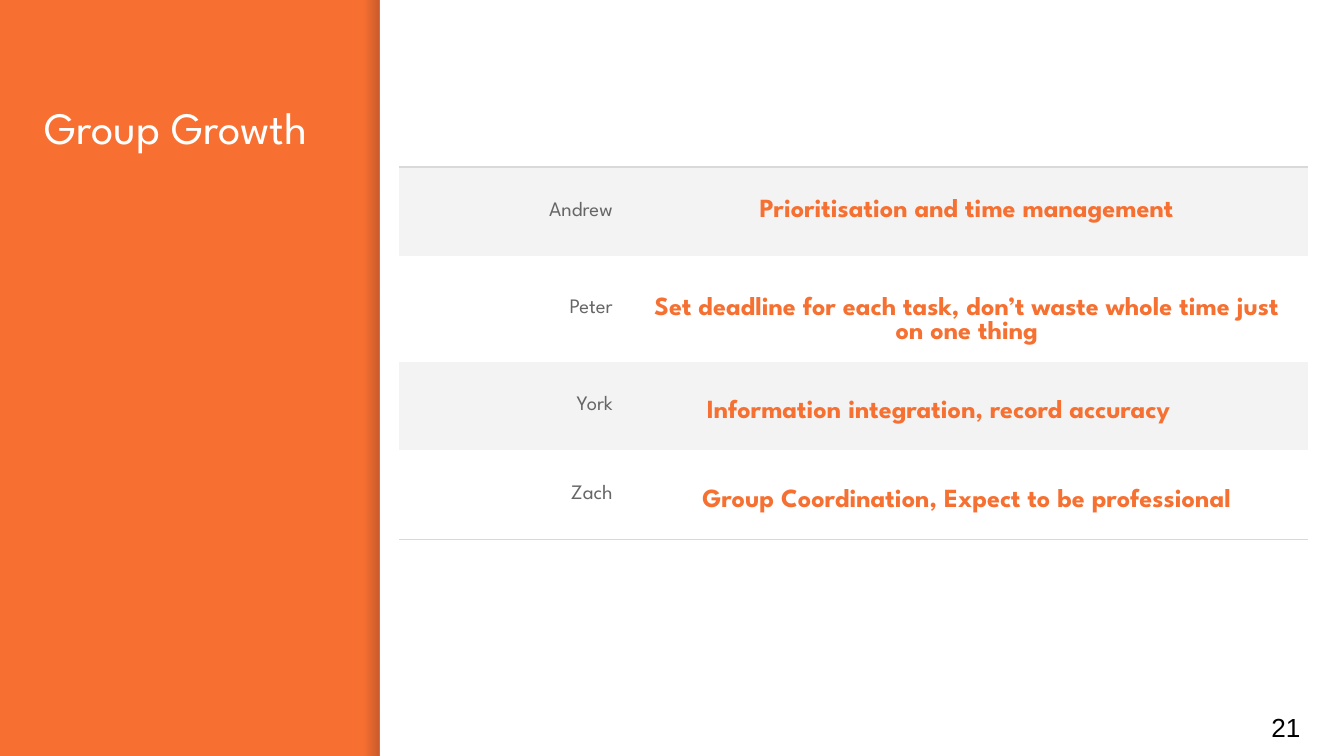
from lxml.etree import SubElement
from pptx import Presentation
from pptx.dml.color import RGBColor
from pptx.enum.shapes import MSO_SHAPE as Shape
from pptx.enum.text import MSO_ANCHOR as Anchor, PP_ALIGN as Align
from pptx.oxml.ns import qn
from pptx.util import Pt

ORANGE = RGBColor(0xF7, 0x70, 0x31)
ORANGE_TEXT = RGBColor(0xF6, 0x70, 0x31)
WHITE = RGBColor(0xFF, 0xFF, 0xFF)
BLACK = RGBColor(0x00, 0x00, 0x00)
SHADE = RGBColor(0x00, 0x00, 0x14)
GREY_TEXT = RGBColor(0x66, 0x66, 0x66)
BAND = RGBColor(0xF3, 0xF3, 0xF3)
RULE = RGBColor(0xD9, 0xD9, 0xD9)

FONT = "League Spartan"
WIDTH, HEIGHT = 720, 405
PANEL_LEFT = 203.5
COLUMNS, COLUMN_WIDTH, ROW_HEIGHT = 4, 121.7, 47.6

# Name, lesson, alignment, line spacing, left margin, top margin
LESSONS = [
    ("Andrew", "Prioritisation and time management", Align.CENTER, 1, 7.2, 5),
    ("Peter", "Set deadline for each task, don’t waste whole time just on one thing",
     Align.CENTER, 1, 7.2, 18),
    ("York", "Information integration, record accuracy", Align.LEFT, 1.5, 43.2, 5),
    ("Zach", "Group Coordination, Expect to be professional", Align.CENTER, 1.5, 7.2, 5),
]


def write(text_frame, text, size, color, font=FONT, bold=False, align=Align.LEFT):
    text_frame.text = text
    paragraph = text_frame.paragraphs[0]
    paragraph.alignment = align
    run_font = paragraph.runs[0].font
    run_font.name, run_font.size, run_font.bold = font, Pt(size), bold
    run_font.color.rgb = color
    return paragraph


def add_rectangle(slide, left, width):
    shape = slide.shapes.add_shape(Shape.RECTANGLE, Pt(left), 0, Pt(width), Pt(HEIGHT))
    shape.shadow.inherit = False
    shape.line.fill.background()
    return shape


def add_panel(slide):
    # Soft shade that darkens towards the panel's edge
    shade = add_rectangle(slide, PANEL_LEFT - 9, 9)
    shade.fill.gradient()
    shade.fill.gradient_angle = 0
    for stop in shade.fill.gradient_stops:
        stop.color.rgb = SHADE
    for color, alpha in zip(shade._element.iter(qn("a:srgbClr")), ("0", "20000")):
        SubElement(color, qn("a:alpha")).set("val", alpha)

    panel = add_rectangle(slide, PANEL_LEFT, WIDTH - PANEL_LEFT)
    panel.fill.solid()
    panel.fill.fore_color.rgb = WHITE


def add_text(slide, box, text, size, color, font=FONT, anchor=Anchor.TOP):
    text_frame = slide.shapes.add_textbox(*map(Pt, box)).text_frame
    text_frame.word_wrap = True
    text_frame.vertical_anchor = anchor
    text_frame.margin_left = text_frame.margin_right = Pt(7.2)
    text_frame.margin_top = text_frame.margin_bottom = Pt(7.2)
    write(text_frame, text, size, color, font)


def style_cell(cell, banded, ruled_edges):
    properties = cell._tc.get_or_add_tcPr()
    for edge in ("lnL", "lnR", "lnT", "lnB"):
        line = SubElement(properties, qn(f"a:{edge}"), w=str(Pt(0.75)))
        if edge in ruled_edges:
            fill = SubElement(line, qn("a:solidFill"))
            SubElement(fill, qn("a:srgbClr"), val=str(RULE))
        else:
            SubElement(line, qn("a:noFill"))
    if banded:
        cell.fill.solid()
        cell.fill.fore_color.rgb = BAND
    else:
        cell.fill.background()
    cell.vertical_anchor = Anchor.MIDDLE
    cell.margin_left = cell.margin_right = Pt(7.2)
    cell.margin_top = cell.margin_bottom = Pt(5)


def add_lessons_table(slide):
    rows = len(LESSONS)
    table = slide.shapes.add_table(
        rows, COLUMNS, Pt(213.8), Pt(89.5),
        Pt(COLUMNS * COLUMN_WIDTH), Pt(rows * ROW_HEIGHT)).table
    table.first_row = table.horz_banding = False
    for column in table.columns:
        column.width = Pt(COLUMN_WIDTH)

    for index, (name, lesson, align, spacing, left, top) in enumerate(LESSONS):
        table.rows[index].height = Pt(ROW_HEIGHT)
        edges = {0: ("lnT",), rows - 1: ("lnB",)}.get(index, ())
        for cell in table.rows[index].cells:
            style_cell(cell, index % 2 == 0, edges)

        name_cell, lesson_cell = table.cell(index, 0), table.cell(index, 1)
        lesson_cell.merge(table.cell(index, COLUMNS - 1))
        lesson_cell.margin_left, lesson_cell.margin_top = Pt(left), Pt(top)
        write(name_cell.text_frame, name, 11, GREY_TEXT, align=Align.RIGHT)
        paragraph = write(lesson_cell.text_frame, lesson, 14, ORANGE_TEXT,
                          bold=True, align=align)
        paragraph.line_spacing = spacing


def main():
    presentation = Presentation()
    presentation.slide_width, presentation.slide_height = Pt(WIDTH), Pt(HEIGHT)
    slide = presentation.slides.add_slide(presentation.slide_layouts[6])
    slide.background.fill.solid()
    slide.background.fill.fore_color.rgb = ORANGE

    add_panel(slide)
    add_text(slide, (16.5, 46, 161.5, 313), "Group Growth", 24, WHITE)
    add_lessons_table(slide)
    # Page number
    add_text(slide, (674, 374, 43, 31), "21", 14, BLACK, "Arial", Anchor.MIDDLE)

    presentation.save("out.pptx")


if __name__ == "__main__":
    main()
